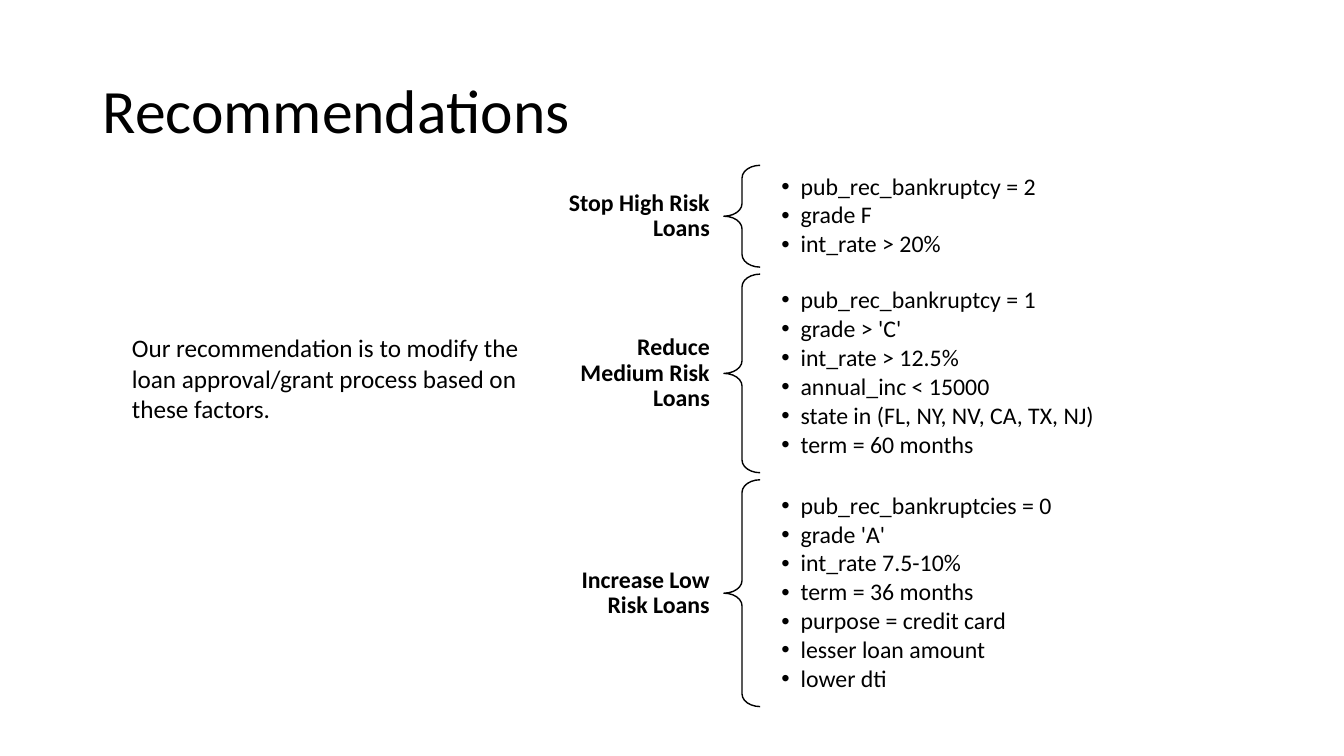
from lxml.etree import SubElement
from pptx import Presentation
from pptx.dml.color import RGBColor
from pptx.enum.shapes import MSO_SHAPE as Shape
from pptx.enum.text import MSO_ANCHOR as Anchor, PP_ALIGN as Align
from pptx.oxml.ns import qn
from pptx.util import Pt

PX = 9144
FONT = "Calibri"
BLACK = RGBColor(0, 0, 0)

BAND_TOP = 164
BAND_GAP = 7
BANDS = [
    ("Stop High Risk Loans", 62, 101,
     ["pub_rec_bankruptcy = 2", "grade F", "int_rate > 20%"]),
    ("Reduce Medium Risk Loans", 87, 197,
     ["pub_rec_bankruptcy = 1", "grade > 'C'", "int_rate > 12.5%",
      "annual_inc < 15000", "state in (FL, NY, NV, CA, TX, NJ)",
      "term = 60 months"]),
    ("Increase Low Risk Loans", 62, 225,
     ["pub_rec_bankruptcies = 0", "grade 'A'", "int_rate 7.5-10%",
      "term = 36 months", "purpose = credit card", "lesser loan amount",
      "lower dti"]),
]


def px(*lengths):
    return [round(length * PX) for length in lengths]


def add_bullet(paragraph, indent):
    properties = paragraph._p.get_or_add_pPr()
    properties.set("marL", str(indent * PX))
    properties.set("indent", str(-indent * PX))
    SubElement(properties, qn("a:buFont"), typeface="Arial")
    SubElement(properties, qn("a:buChar"), char="•")


def add_text(slide, text, box, size=17, bold=False, align=Align.LEFT,
             anchor=Anchor.MIDDLE, insets=(10, 5), line_spacing=0.9,
             space_after=0, bullet_indent=0):
    frame = slide.shapes.add_textbox(*px(*box)).text_frame
    frame.word_wrap = True
    frame.vertical_anchor = anchor
    side, edge = px(*insets)
    frame.margin_left = frame.margin_right = side
    frame.margin_top = frame.margin_bottom = edge
    frame.text = text
    for paragraph in frame.paragraphs:
        paragraph.alignment = align
        paragraph.line_spacing = line_spacing
        paragraph.space_after = Pt(space_after)
        if bullet_indent:
            add_bullet(paragraph, bullet_indent)
        for run in paragraph.runs:
            run.font.name = FONT
            run.font.size = Pt(size)
            run.font.bold = bold
            run.font.color.rgb = BLACK


def add_brace(slide, box):
    brace = slide.shapes.add_shape(Shape.LEFT_BRACE, *px(*box))
    brace.adjustments[0] = 0.35
    brace.adjustments[1] = 0.5
    brace.shadow.inherit = False
    brace.fill.background()
    brace.line.color.rgb = BLACK
    brace.line.width = Pt(1)


def add_band(slide, top, label, label_height, height, factors):
    label_top = top + (height - label_height) / 2
    add_text(slide, label, (538, label_top, 179, label_height),
             bold=True, align=Align.RIGHT, insets=(13, 5))
    add_brace(slide, (718, top, 36, height))
    add_text(slide, "\n".join(factors), (768, top, 488, height),
             insets=(7, 7), space_after=2.3, bullet_indent=19)


def main():
    deck = Presentation()
    deck.slide_width, deck.slide_height = px(1333, 750)
    slide = deck.slides.add_slide(deck.slide_layouts[6])

    add_text(slide, "Recommendations", (92, 40, 1150, 145), size=44)
    top = BAND_TOP
    for label, label_height, height, factors in BANDS:
        add_band(slide, top, label, label_height, height, factors)
        top += height + BAND_GAP
    add_text(slide, "Our recommendation is to modify the loan approval/grant "
             "process based on these factors.", (121, 325, 417, 101),
             size=18, anchor=Anchor.TOP, line_spacing=1.0)

    deck.save("out.pptx")


if __name__ == "__main__":
    main()
